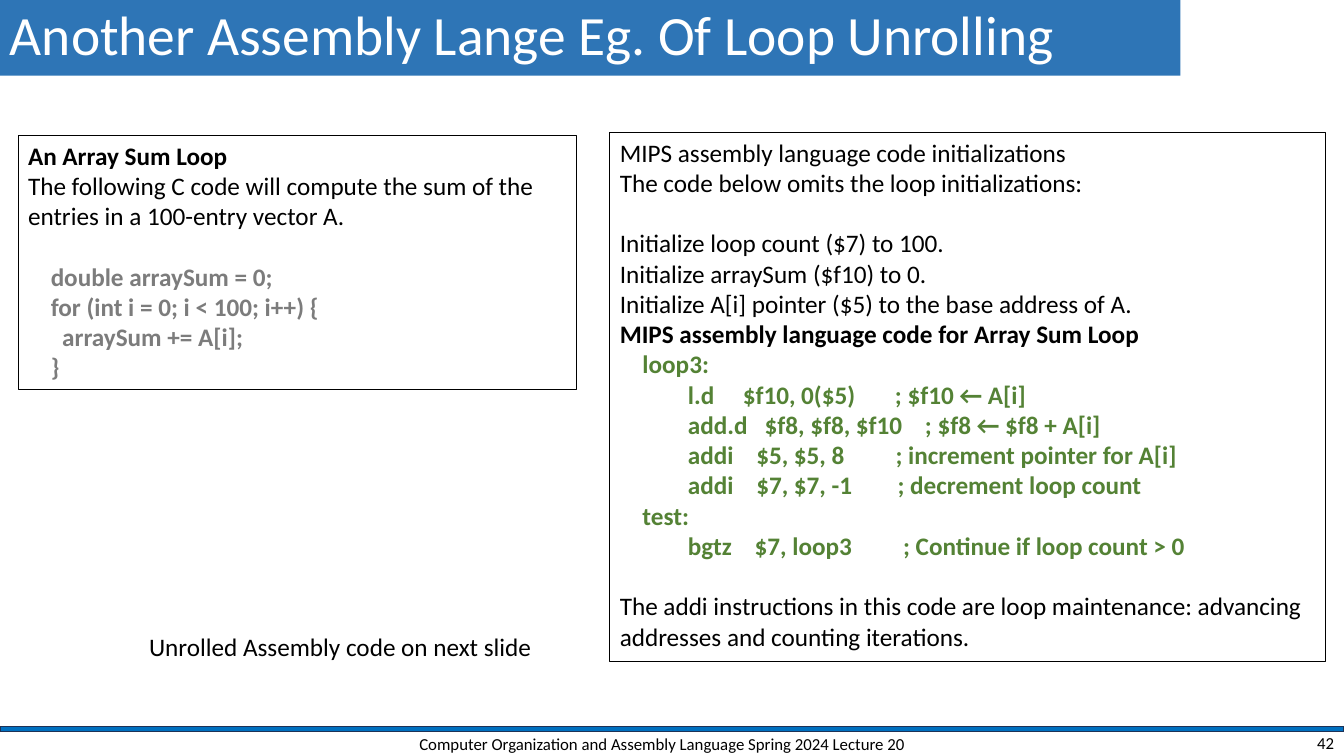
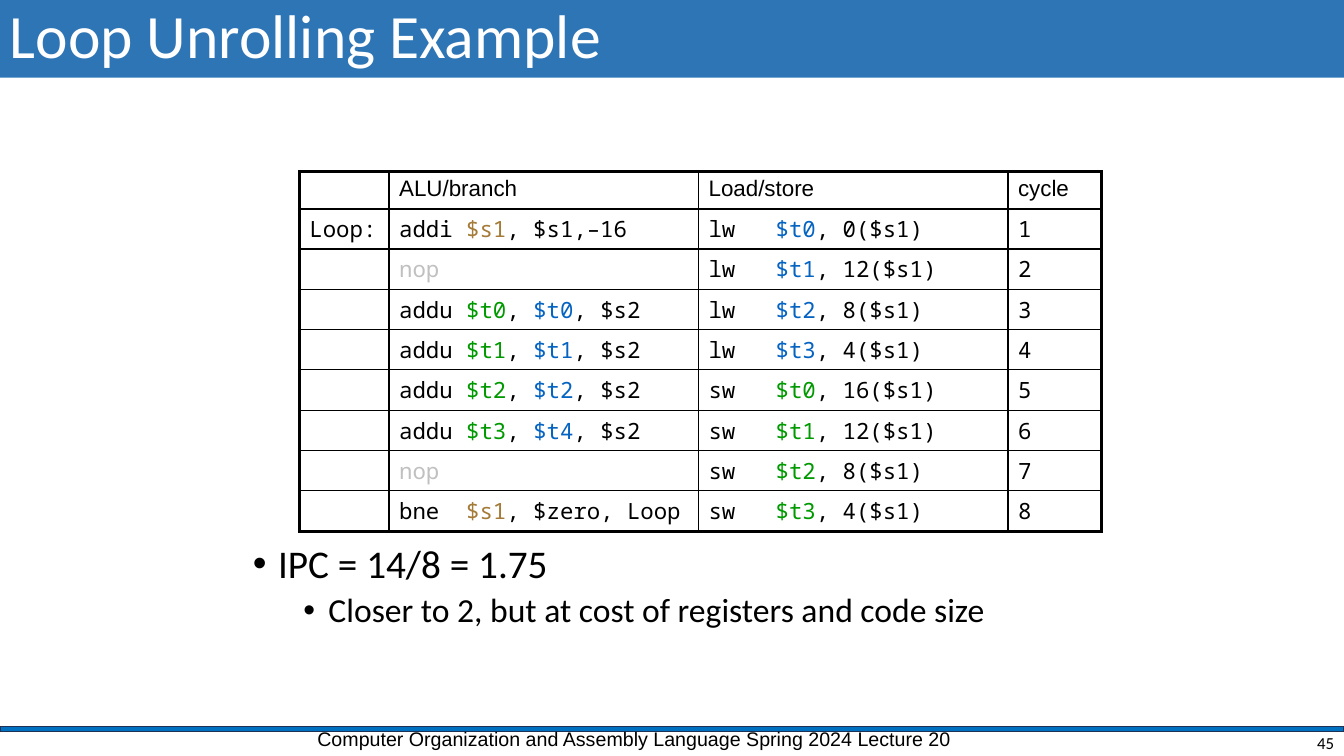
from dataclasses import dataclass, replace
from typing import NamedTuple

from lxml.etree import SubElement
from pptx import Presentation
from pptx.dml.color import RGBColor
from pptx.enum.shapes import MSO_SHAPE as Preset
from pptx.enum.text import MSO_ANCHOR as Anchor, PP_ALIGN as Align
from pptx.oxml import parse_xml
from pptx.oxml.ns import nsdecls, qn
from pptx.util import Emu, Inches, Pt

WIDTH, HEIGHT = Inches(13.33), Inches(7.5)
COLUMNS, ROWS = 80, 45
BLACK, WHITE = "000000", "FFFFFF"
TITLE_BLUE, BAR_BLUE, BAR_EDGE = "2E75B6", "0070C0", "1E3256"
C_GRAY, ASSEMBLY_GREEN = "7C7C7C", "548235"
POINTER, LOADED, SUMMED, IDLE = "A47B38", "0563C1", "009900", "C0C0C0"
MONO = "Noto Sans Mono"
BLANK_LINE = 21.6
COURSE = "Computer Organization and Assembly Language Spring 2024 Lecture 20"


class Area(NamedTuple):
    column: float
    row: float
    columns: float
    rows: float


class Span(NamedTuple):
    text: str
    color: str = BLACK
    bold: bool = False


@dataclass(frozen=True)
class Style:
    size: float = 18
    font: str = "Calibri"
    align: Align = Align.LEFT
    anchor: Anchor = Anchor.TOP
    spacing: float = 1.0


@dataclass(frozen=True)
class Para:
    spans: list[Span]
    before: float = 0
    size: float | None = None
    bullet_indent: float = 0


CODE_BOX = Style()
TITLE = Style(size=44, anchor=Anchor.MIDDLE, spacing=0.9)
FOOTER = Style(size=12, align=Align.CENTER, anchor=Anchor.MIDDLE)
NUMBER = replace(FOOTER, align=Align.RIGHT)
BULLETS = Style(size=28, spacing=0.9)
HEADING_CELL = Style(size=16, font="Arial")
CODE_CELL = replace(HEADING_CELL, font=MONO)


def color(value: str) -> RGBColor:
    return RGBColor.from_string(value)


def across(columns: float) -> Emu:
    return Emu(round(WIDTH * columns / COLUMNS))


def down(rows: float) -> Emu:
    return Emu(round(HEIGHT * rows / ROWS))


def place(area: Area) -> tuple[Emu, Emu, Emu, Emu]:
    return across(area.column), down(area.row), across(area.columns), down(area.rows)


def set_all(target, values: dict) -> None:
    for name, value in values.items():
        setattr(target, name, value)


def line(text: str, ink: str = BLACK, bold: bool = False, before: float = 0) -> Para:
    return Para([Span(text, ink, bold)], before)


def write(frame, paras: list[Para], style: Style) -> None:
    for index, para in enumerate(paras):
        target = frame.paragraphs[0] if index == 0 else frame.add_paragraph()
        set_all(target, {"alignment": style.align, "line_spacing": style.spacing})
        if para.before:
            target.space_before = Pt(para.before)
        if para.bullet_indent:
            properties = target._p.get_or_add_pPr()
            properties.set("marL", str(Inches(para.bullet_indent)))
            properties.set("indent", str(-Inches(0.25)))
            SubElement(properties, qn("a:buFont")).set("typeface", "Arial")
            SubElement(properties, qn("a:buChar")).set("char", "•")
        for span in para.spans:
            run = target.add_run()
            run.text = span.text
            set_all(run.font, {
                "name": style.font,
                "size": Pt(para.size or style.size),
                "bold": span.bold,
            })
            run.font.color.rgb = color(span.color)


def add_text(page, area: Area, paras: list[Para], style: Style) -> None:
    box = page.shapes.add_textbox(*place(area))
    set_all(box.text_frame, {"word_wrap": True, "vertical_anchor": style.anchor})
    write(box.text_frame, paras, style)


def add_panel(page, area: Area, style: Style, paras: list[Para],
              fill: str = "", edge: str = "", weight: float = 0.75) -> None:
    panel = page.shapes.add_shape(Preset.RECTANGLE, *place(area))
    panel.shadow.inherit = False
    if fill:
        panel.fill.solid()
        panel.fill.fore_color.rgb = color(fill)
    else:
        panel.fill.background()
    if edge:
        panel.line.color.rgb = color(edge)
        panel.line.width = Pt(weight)
    else:
        panel.line.fill.background()
    set_all(panel.text_frame, {"word_wrap": True, "vertical_anchor": style.anchor})
    write(panel.text_frame, paras, style)


def add_page(deck, title: str, title_area: Area, title_style: Style, number: int,
             footer_area: Area, footer_style: Style):
    page = deck.slides.add_slide(deck.slide_layouts[6])
    add_panel(page, Area(0, 43.26, COLUMNS, 0.3), CODE_BOX, [], BAR_BLUE, BAR_EDGE, 1)
    add_panel(page, title_area, title_style, [line(title, WHITE)], TITLE_BLUE)
    add_text(page, footer_area, [line(COURSE)], footer_style)
    add_text(page, Area(62, 43.44, 18, 1.5), [line(str(number))], NUMBER)
    return page


def set_borders(cell, widths: dict[str, float]) -> None:
    properties = cell._tc.get_or_add_tcPr()
    for index, (side, width) in enumerate(widths.items()):
        properties.insert(index, parse_xml(
            f'<a:ln{side} {nsdecls("a")} w="{Pt(width)}"><a:solidFill>'
            f'<a:srgbClr val="{BLACK}"/></a:solidFill></a:ln{side}>'))


def add_schedule(page, area: Area, widths: list[float], heights: list[float],
                 rows: list[list[list[Span]]]) -> None:
    table = page.shapes.add_table(len(rows), len(widths), *place(area)).table
    set_all(table, {"first_row": False, "horz_banding": False})
    for column, width in zip(table.columns, widths):
        column.width = across(width)
    for row, height in zip(table.rows, heights):
        row.height = down(height)
    last_row, last_column = len(rows) - 1, len(widths) - 1
    for r, row in enumerate(rows):
        for c, spans in enumerate(row):
            cell = table.cell(r, c)
            margin = Inches(0.05 if spans else 0)
            set_all(cell, {"margin_top": margin, "margin_bottom": margin})
            cell.fill.background()
            set_borders(cell, {
                "L": 2.25 if c == 0 else 1,
                "R": 2.25 if c == last_column else 1,
                "T": {0: 2.25, 1: 1.5}.get(r, 1),
                "B": {0: 1.5, last_row: 2.25}.get(r, 1),
            })
            write(cell.text_frame, [Para(spans)], CODE_CELL if r else HEADING_CELL)


def memory(operation: str, register: str, offset: int) -> list[Span]:
    ink = LOADED if operation == "lw" else SUMMED
    return [Span(f"{operation}   "), Span(register, ink), Span(f", {offset}($s1)")]


def add_up(target: str, source: str) -> list[Span]:
    return [Span("addu "), Span(target, SUMMED), Span(", "),
            Span(source, LOADED), Span(", $s2")]


def step_pointer(operation: str, rest: str) -> list[Span]:
    return [Span(f"{operation:<5}"), Span("$s1", POINTER), Span(rest)]


def build_array_sum(deck) -> None:
    page = add_page(deck, "Another Assembly Lange Eg. Of Loop Unrolling",
                    Area(0, 0, 70.26, 4.5), replace(TITLE, size=39.6), 42,
                    Area(23.52, 43.44, 31.8, 1.68), FOOTER)
    c_code = [
        "    double arraySum = 0;",
        "    for (int i = 0; i < 100; i++) {",
        "      arraySum += A[i];",
        "    }",
    ]
    add_panel(page, Area(1.08, 8.04, 33.24, 15.12), CODE_BOX, [
        line("An Array Sum Loop", bold=True),
        line("The following C code will compute the sum of the entries "
             "in a 100-entry vector A."),
        *(line(text, C_GRAY, True, 0 if index else BLANK_LINE)
          for index, text in enumerate(c_code)),
    ], edge=BLACK)
    assembly = [
        "    loop3:",
        "            l.d     $f10, 0($5)       ; $f10 ← A[i]",
        "            add.d   $f8, $f8, $f10    ; $f8 ← $f8 + A[i]",
        "            addi    $5, $5, 8         ; increment pointer for A[i]",
        "            addi    $7, $7, -1        ; decrement loop count",
        "    test:",
        "            bgtz    $7, loop3         ; Continue if loop count > 0",
    ]
    add_panel(page, Area(36.3, 7.86, 42.6, 31.5), CODE_BOX, [
        line("MIPS assembly language code initializations"),
        line("The code below omits the loop initializations:"),
        line("Initialize loop count ($7) to 100.", before=BLANK_LINE),
        line("Initialize arraySum ($f10) to 0."),
        line("Initialize A[i] pointer ($5) to the base address of A."),
        line("MIPS assembly language code for Array Sum Loop", bold=True),
        *(line(text, ASSEMBLY_GREEN, True) for text in assembly),
        line("The addi instructions in this code are loop maintenance: "
             "advancing addresses and counting iterations.", before=BLANK_LINE),
    ], edge=BLACK)
    add_text(page, Area(8.28, 37.26, 24.24, 2.4),
             [line("Unrolled Assembly code on next slide")], CODE_BOX)


def build_schedule(deck) -> None:
    page = add_page(deck, "Loop Unrolling Example", Area(0, 0, COLUMNS, 4.62), TITLE, 45,
                    Area(18.3, 42.96, 40.38, 2.04), Style(size=14, font="Arial"))
    idle = [Span("nop", IDLE)]
    branches = [
        step_pointer("addi", ", $s1,–16"),
        idle,
        add_up("$t0", "$t0"),
        add_up("$t1", "$t1"),
        add_up("$t2", "$t2"),
        add_up("$t3", "$t4"),
        idle,
        step_pointer("bne", ", $zero, Loop"),
    ]
    offsets = [0, 12, 8, 4, 16, 12, 8, 4]
    rows = [[[], [Span("ALU/branch")], [Span("Load/store")], [Span("cycle")]]]
    for index, (branch, offset) in enumerate(zip(branches, offsets)):
        operation = "lw" if index < 4 else "sw"
        rows.append([
            [] if index else [Span("Loop:")],
            branch,
            memory(operation, f"$t{index % 4}", offset),
            [Span(str(index + 1))],
        ])
    widths = [5.34, 18.42, 18.42, 5.58]
    heights = [2.22] + [2.4] * len(branches)
    add_schedule(page, Area(17.82, 10.2, sum(widths), sum(heights)), widths, heights, rows)
    add_text(page, Area(14.46, 32.1, 54.3, 8.82), [
        Para([Span("IPC = 14/8 = 1.75")], bullet_indent=0.25),
        Para([Span("Closer to 2, but at cost of registers and code size")],
             before=5, size=24, bullet_indent=0.75),
    ], BULLETS)


def main() -> None:
    deck = Presentation()
    set_all(deck, {"slide_width": WIDTH, "slide_height": HEIGHT})
    build_array_sum(deck)
    build_schedule(deck)
    deck.save("out.pptx")


if __name__ == "__main__":
    main()
